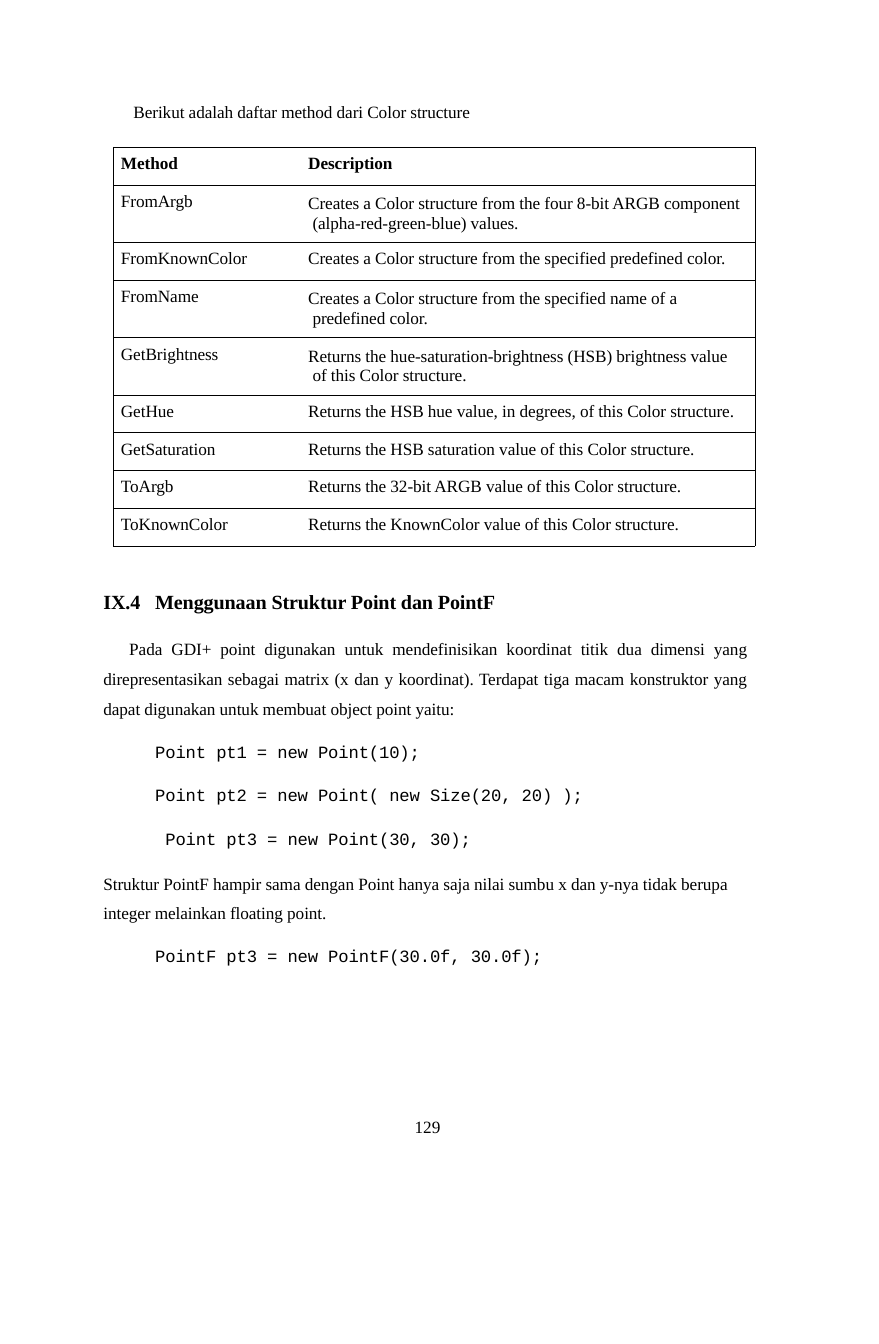
from lxml import etree
from pptx import Presentation
from pptx.dml.color import RGBColor
from pptx.enum.text import MSO_AUTO_SIZE, PP_ALIGN
from pptx.oxml.ns import qn
from pptx.util import Pt

BLACK = RGBColor(0, 0, 0)
SERIF = "Times New Roman"
MONO = "Courier New"
GROW = MSO_AUTO_SIZE.SHAPE_TO_FIT_TEXT
JUSTIFY = PP_ALIGN.JUSTIFY

ONE_LINE, TWO_LINES = 26.3, 40
CODE = {"left": 36.8, "font": MONO, "spacing": -10}

METHODS = [
    ("Method", "Description"),
    ("FromArgb", "Creates a Color structure from the four 8-bit ARGB component\n"
                 "(alpha-red-green-blue) values."),
    ("FromKnownColor", "Creates a Color structure from the specified predefined color."),
    ("FromName", "Creates a Color structure from the specified name of a\npredefined color."),
    ("GetBrightness", "Returns the hue-saturation-brightness (HSB) brightness value\n"
                      "of this Color structure."),
    ("GetHue", "Returns the HSB hue value, in degrees, of this Color structure."),
    ("GetSaturation", "Returns the HSB saturation value of this Color structure."),
    ("ToArgb", "Returns the 32-bit ARGB value of this Color structure."),
    ("ToKnownColor", "Returns the KnownColor value of this Color structure."),
]

BODY = [
    ("IX.4\tMenggunaan Struktur Point dan PointF",
     {"left": 0.7, "size": 14, "bold": True, "spacing": -10, "tab": 43.2}),
    ("Pada GDI+ point digunakan untuk mendefinisikan koordinat titik dua dimensi yang "
     "direpresentasikan sebagai matrix (x dan y koordinat). Terdapat tiga macam konstruktor yang "
     "dapat digunakan untuk membuat object point yaitu:",
     {"left": 0.7, "right": 4.3, "first": 18, "before": 11.1, "leading": 1.44, "align": JUSTIFY}),
    ("Point pt1 = new Point(10);", {"before": 15.5, **CODE}),
    ("Point pt2 = new Point( new Size(20, 20) );\n Point pt3 = new Point(30, 30);",
     {"leading": 2.11, **CODE}),
    ("Struktur PointF hampir sama dengan Point hanya saja nilai sumbu x dan y-nya tidak berupa\n"
     "integer melainkan floating point.",
     {"left": 0.7, "before": 10.6, "leading": 1.43}),
    ("PointF pt3 = new PointF(30.0f, 30.0f);", {"before": 15.6, **CODE}),
]


class PageBuilder:
    """Holds the text style and the current slide, and adds elements to it."""

    def __init__(self, slide):
        self.slide = slide
        self.color = BLACK
        self.line_width = 0.5

    def paragraph(self, para, text, left=0, right=0, first=0, before=0, leading=None,
                  align=None, tab=None, font=SERIF, size=12, bold=False, spacing=-5):
        properties = para._p.get_or_add_pPr()
        for name, value in (("marL", left), ("marR", right), ("indent", first)):
            properties.set(name, str(Pt(value)))
        if tab:
            tabs = etree.SubElement(properties, qn("a:tabLst"))
            etree.SubElement(tabs, qn("a:tab"), pos=str(Pt(tab)), algn="l")
        if before:
            para.space_before = Pt(before)
        if leading:
            para.line_spacing = leading
        if align is not None:
            para.alignment = align
        for index, line in enumerate(text.split("\n")):
            if index:
                para.add_line_break()
            span = para.add_run()
            span.text = line
            span.font.name = font
            span.font.size = Pt(size)
            span.font.bold = bold
            span.font.color.rgb = self.color
            span._r.get_or_add_rPr().set("spc", str(spacing))

    def text(self, left, top, width, height, paragraphs, inset=0.7):
        box = self.slide.shapes.add_textbox(Pt(left), Pt(top), Pt(width), Pt(height))
        frame = box.text_frame
        frame.word_wrap = True
        frame.auto_size = GROW
        frame.margin_left = frame.margin_right = frame.margin_bottom = 0
        frame.margin_top = Pt(inset)
        for index, (text, style) in enumerate(paragraphs):
            para = frame.add_paragraph() if index else frame.paragraphs[0]
            self.paragraph(para, text, **style)

    def borders(self, cell, sides):
        properties = cell._tc.get_or_add_tcPr()
        for index, side in enumerate("LRTB"):
            line = etree.Element(qn(f"a:ln{side}"), w=str(Pt(self.line_width)))
            if side in sides:
                fill = etree.SubElement(line, qn("a:solidFill"))
                etree.SubElement(fill, qn("a:srgbClr"), val=str(self.color))
            else:
                etree.SubElement(line, qn("a:noFill"))
            properties.insert(index, line)

    def cell(self, cell, text, sides, inset, **style):
        cell.margin_left = cell.margin_right = cell.margin_bottom = 0
        cell.margin_top = Pt(inset)
        cell.fill.background()
        self.borders(cell, sides)
        self.paragraph(cell.text_frame.paragraphs[0], text, **style)

    def table(self, left, top, widths, rows):
        heights = [TWO_LINES if "\n" in description else ONE_LINE for _, description in rows]
        table = self.slide.shapes.add_table(
            len(rows), len(widths), Pt(left), Pt(top), Pt(sum(widths)), Pt(sum(heights))).table
        table.first_row = table.horz_banding = False
        for column, width in zip(table.columns, widths):
            column.width = Pt(width)
        for index, ((method, description), height) in enumerate(zip(rows, heights)):
            table.rows[index].height = Pt(height)
            bold = index == 0
            self.cell(table.cell(index, 0), method, "LTB", 5, left=5, bold=bold)
            wrapped = {"leading": Pt(13.8), "inset": 6} if height == TWO_LINES else {"inset": 5}
            self.cell(table.cell(index, 1), description, "RTB",
                      left=23.9, first=-3, bold=bold, **wrapped)


def main():
    deck = Presentation()
    deck.slide_width, deck.slide_height = Pt(612), Pt(936)
    page = PageBuilder(deck.slides.add_slide(deck.slide_layouts[6]))
    page.text(285.8, 777.6, 35.3, 15.1,
              [("129", {"left": 2.9, "leading": Pt(14.1), "spacing": 0})], inset=0)
    page.text(92.2, 69.8, 239, 16.6,
              [("Berikut adalah daftar method dari Color structure", {"left": 0.7})])
    page.table(79.2, 102.5, [114.5, 331.9], METHODS)
    page.text(71.3, 409.7, 453.6, 264.2, BODY)
    deck.save("out.pptx")


if __name__ == "__main__":
    main()
